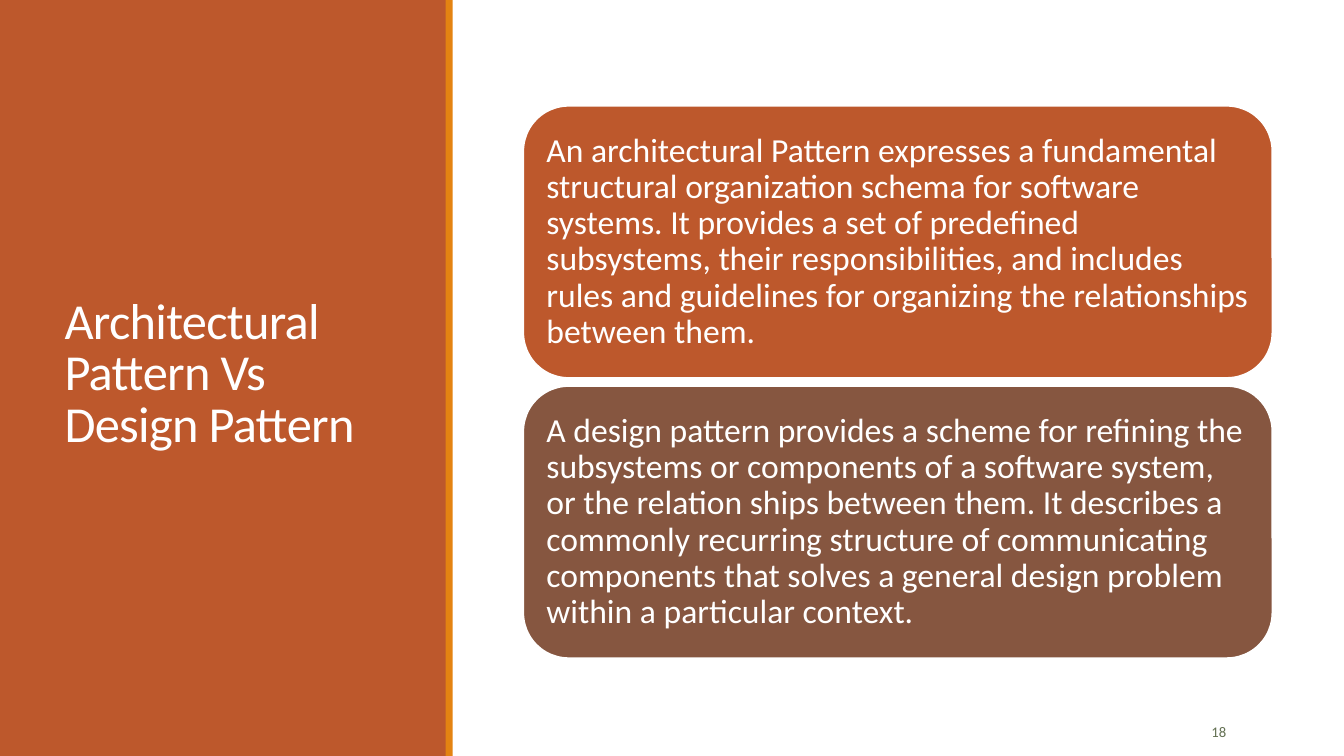
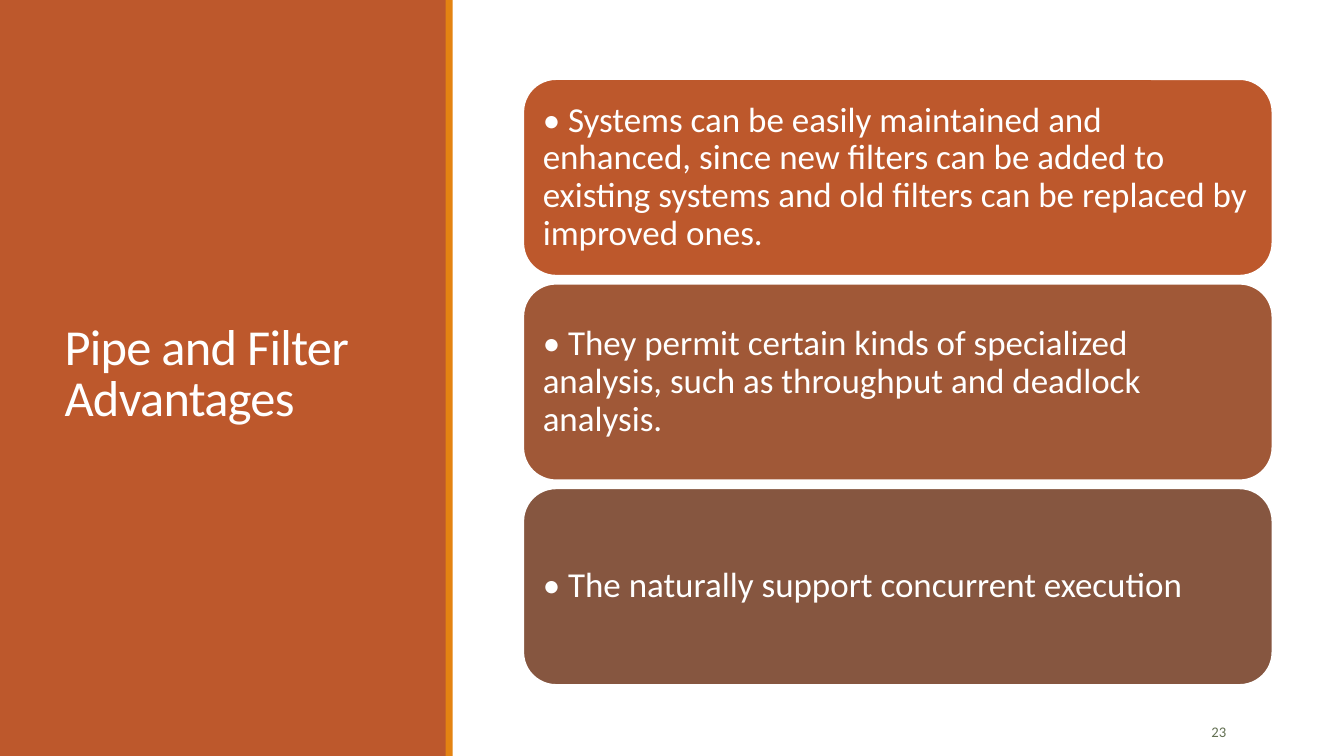
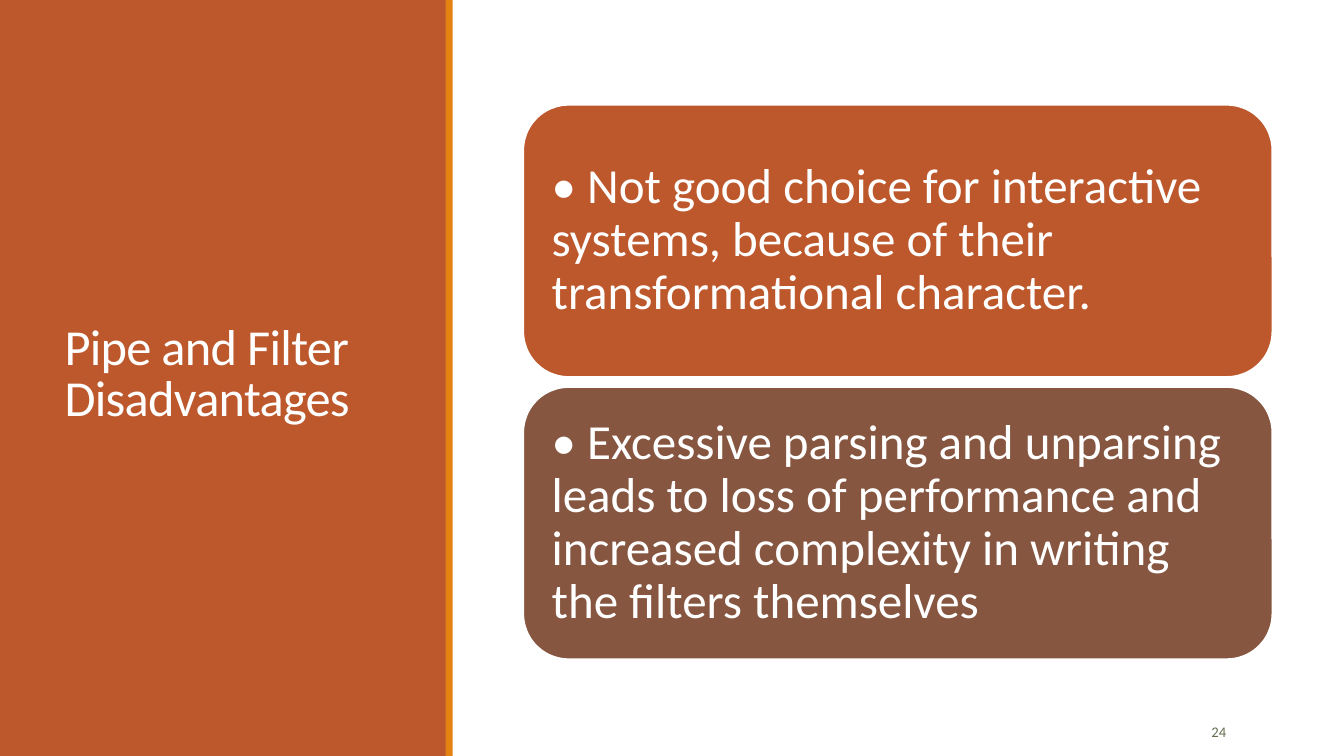
"""Builds three slides of stacked cards beside a coloured title panel."""
from pptx import Presentation
from pptx.dml.color import RGBColor
from pptx.enum.shapes import MSO_SHAPE
from pptx.enum.text import MSO_ANCHOR, MSO_AUTO_SIZE, PP_ALIGN
from pptx.util import Inches, Pt

RECTANGLE = MSO_SHAPE.RECTANGLE
ROUNDED = MSO_SHAPE.ROUNDED_RECTANGLE
MIDDLE = MSO_ANCHOR.MIDDLE
NO_AUTOFIT = MSO_AUTO_SIZE.NONE
LEFT = PP_ALIGN.LEFT
RIGHT = PP_ALIGN.RIGHT

COLORS = {
    "rust": "BD582C",
    "sienna": "A05837",
    "brown": "865640",
    "orange": "E48312",
    "olive": "637052",
    "white": "FFFFFF",
}
FONT = "Calibri"
TITLE_ONLY = 5
SLIDE_WIDTH, SLIDE_HEIGHT = 13.33, 7.5
CARD_LEFT, CARD_WIDTH, STACK_MIDDLE = 5.19, 7.43, 3.79

SLIDES = [
    {
        "title": "Architectural Pattern Vs Design Pattern",
        "number": "18",
        "style": {"height": 2.7, "gap": 0.08, "inset": 0.1, "size": 24},
        "cards": [
            ("rust", "An architectural Pattern expresses a fundamental structural "
             "organization schema for software systems. It provides a set of "
             "predefined subsystems, their responsibilities, and includes rules "
             "and guidelines for organizing the relationships between them."),
            ("brown", "A design pattern provides a scheme for refining the "
             "subsystems or components of a software system, or the relation "
             "ships between them. It describes a commonly recurring structure of "
             "communicating components that solves a general design problem "
             "within a particular context."),
        ],
    },
    {
        "title": "Pipe and Filter Advantages",
        "number": "23",
        "style": {"height": 1.95, "gap": 0.08, "inset": 0.1, "size": 25},
        "cards": [
            ("rust", "• Systems can be easily maintained and enhanced, since new "
             "filters can be added to existing systems and old filters can be "
             "replaced by improved ones."),
            ("sienna", "• They permit certain kinds of specialized analysis, such "
             "as throughput and deadlock analysis."),
            ("brown", "• The naturally support concurrent execution"),
        ],
    },
    {
        "title": "Pipe and Filter Disadvantages",
        "number": "24",
        "style": {"height": 2.7, "gap": 0.1, "inset": 0.15, "size": 35},
        "cards": [
            ("rust", "• Not good choice for interactive systems, because of their "
             "transformational character."),
            ("brown", "• Excessive parsing and unparsing leads to loss of "
             "performance and increased complexity in writing the filters "
             "themselves"),
        ],
    },
]


def set_attributes(target, values):
    """Set every named value on the target."""
    for name, value in values.items():
        setattr(target, name, value)


def place(shape, left, top, width, height):
    """Move and size a shape, in inches."""
    set_attributes(shape, {
        "left": Inches(left), "top": Inches(top),
        "width": Inches(width), "height": Inches(height),
    })


def write(shape, text, size, color, align=LEFT, spacing=1.0):
    """Write one formatted paragraph and return its text span."""
    set_attributes(shape.text_frame, {
        "word_wrap": True, "auto_size": NO_AUTOFIT, "vertical_anchor": MIDDLE,
    })
    para = shape.text_frame.paragraphs[0]
    set_attributes(para, {"alignment": align, "line_spacing": spacing})
    span = para.add_run()
    span.text = text
    set_attributes(span.font, {"name": FONT, "size": Pt(size)})
    span.font.color.rgb = RGBColor.from_string(COLORS[color])
    return span


def add_block(slide, kind, color, *area):
    """Add a filled shape without line or shadow."""
    block = slide.shapes.add_shape(kind, *map(Inches, area))
    block.shadow.inherit = False
    block.fill.solid()
    block.fill.fore_color.rgb = RGBColor.from_string(COLORS[color])
    block.line.fill.background()
    return block


def add_title(slide, text):
    """Fill the title placeholder and bring it in front of the panel."""
    title = slide.shapes.title
    place(title, 0.54, 0.57, 3.37, 6.31)
    span = write(title, text, 36, "white", spacing=0.85)
    span.font._element.set("spc", "-50")
    title.element.getparent().append(title.element)


def add_number(slide, text):
    """Add the slide number at the lower right."""
    box = slide.shapes.add_textbox(*map(Inches, (11.07, 7.06, 1.19, 0.4)))
    write(box, text, 10.5, "olive", align=RIGHT)


def add_cards(slide, cards, height, gap, inset, size):
    """Stack equal cards around the common middle line."""
    pitch = height + gap
    first_top = STACK_MIDDLE - (pitch * len(cards) - gap) / 2
    for index, (color, text) in enumerate(cards):
        card = add_block(slide, ROUNDED, color, CARD_LEFT,
                         first_top + index * pitch, CARD_WIDTH, height)
        card.line.width = Pt(1.25)
        card.line.color.rgb = RGBColor.from_string(COLORS["white"])
        for side in ("left", "top", "right", "bottom"):
            setattr(card.text_frame, f"margin_{side}", Inches(inset))
        write(card, text, size, "white", spacing=0.9)


def add_slide(deck, content):
    """Add one slide with its panel, title, number and cards."""
    slide = deck.slides.add_slide(deck.slide_layouts[TITLE_ONLY])
    add_block(slide, RECTANGLE, "rust", 0, 0, 4.43, SLIDE_HEIGHT)
    add_title(slide, content["title"])
    add_block(slide, RECTANGLE, "orange", 4.42, 0, 0.07, SLIDE_HEIGHT)
    add_number(slide, content["number"])
    add_cards(slide, content["cards"], **content["style"])


def main():
    """Build and save the deck."""
    deck = Presentation()
    set_attributes(deck, {
        "slide_width": Inches(SLIDE_WIDTH), "slide_height": Inches(SLIDE_HEIGHT),
    })
    for content in SLIDES:
        add_slide(deck, content)
    deck.save("out.pptx")


if __name__ == "__main__":
    main()
